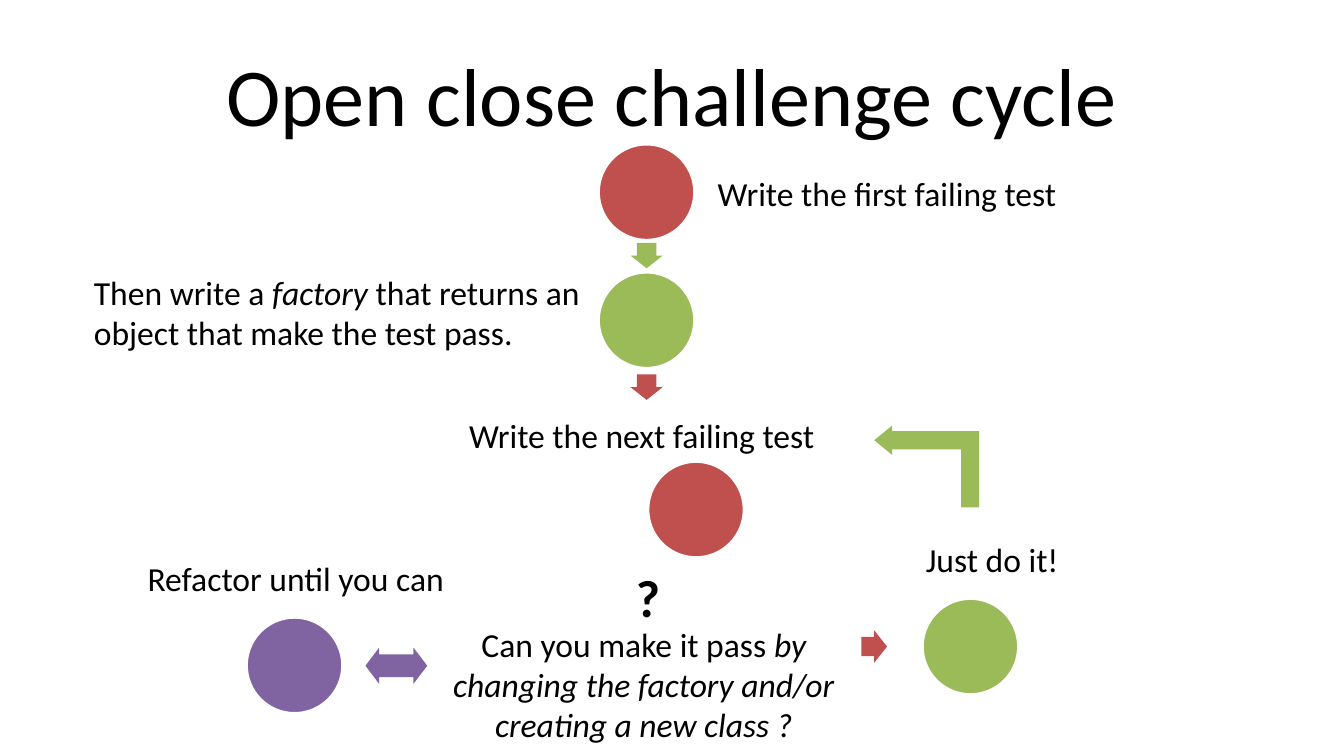
from pptx import Presentation
from pptx.dml.color import RGBColor
from pptx.enum.shapes import MSO_SHAPE
from pptx.enum.text import MSO_ANCHOR, MSO_AUTO_SIZE, PP_ALIGN
from pptx.util import Pt

BLACK = RGBColor(0x00, 0x00, 0x00)
WHITE = RGBColor(0xFF, 0xFF, 0xFF)
RED = RGBColor(0xC0, 0x50, 0x4D)
GREEN = RGBColor(0x9B, 0xBB, 0x59)
PURPLE = RGBColor(0x80, 0x64, 0xA2)
FONT = "Calibri"
CIRCLE = 52
ARROW_W, ARROW_H = 13.7, 17.3


def set_font(font, size):
    font.name = FONT
    font.size = Pt(size)
    font.color.rgb = BLACK


def add_filled(s, kind, x, y, w, h, color, adjustments=(), rotation=0):
    sp = s.shapes.add_shape(kind, Pt(x), Pt(y), Pt(w), Pt(h))
    sp.shadow.inherit = False
    sp.fill.solid()
    sp.fill.fore_color.rgb = color
    sp.line.fill.background()
    sp.rotation = rotation
    for i, value in enumerate(adjustments):
        sp.adjustments[i] = value
    return sp


def add_circle(s, x, y, color):
    sp = add_filled(s, MSO_SHAPE.OVAL, x, y, CIRCLE, CIRCLE, color)
    sp.line.color.rgb = WHITE
    sp.line.width = Pt(2)


def add_step_arrow(s, cx, cy, color, rotation=0):
    add_filled(s, MSO_SHAPE.RIGHT_ARROW, cx - ARROW_W / 2, cy - ARROW_H / 2,
               ARROW_W, ARROW_H, color, (0.6, 0.5), rotation)


def add_label(s, x, y, w, h, runs, size=18, align=PP_ALIGN.LEFT, wrap=False, bold=False):
    tf = s.shapes.add_textbox(Pt(x), Pt(y), Pt(w), Pt(h)).text_frame
    tf.word_wrap = wrap
    tf.auto_size = MSO_AUTO_SIZE.SHAPE_TO_FIT_TEXT
    p = tf.paragraphs[0]
    p.alignment = align
    set_font(p.font, size)
    p.font.bold = bold
    for text, italic in runs:
        r = p.add_run()
        r.text = text
        if italic:
            r.font.italic = True


def add_title(s, x, y, w, h):
    title = s.shapes.title
    title.left, title.top, title.width, title.height = Pt(x), Pt(y), Pt(w), Pt(h)
    tf = title.text_frame
    tf.text = "Open close challenge cycle"
    tf.vertical_anchor = MSO_ANCHOR.MIDDLE
    p = tf.paragraphs[0]
    p.alignment = PP_ALIGN.CENTER
    set_font(p.font, 44)


def add_first_tests(s, x, y, w):
    circle_x = x + w / 2
    cx = circle_x + CIRCLE / 2
    step = 68.6
    for i, (color, arrow_color) in enumerate([(RED, GREEN), (GREEN, RED)]):
        add_circle(s, circle_x, y + i * step, color)
        add_step_arrow(s, cx, y + 59.9 + i * 70.5, arrow_color, 90)
    add_label(s, circle_x + 57, y + 12.3, 198, 28.8, [("Write the first failing test", False)])
    add_label(s, x, y + 65, 289.4, 51, [
        ("Then write a ", False),
        ("factory", True),
        (" that returns an object that make the test pass.", False),
    ], wrap=True)


def add_decision(s, x, y, w):
    cx = x + w / 2
    add_label(s, x + 26, y, 201.6, 28.8, [("Write the next failing test", False)])
    add_circle(s, cx + 2, y + 28.1, RED)
    add_label(s, cx - 11.4, y + 80.6, 27.4, 41, [("?", False)], size=28, bold=True)
    add_label(s, x, y + 111.6, w, 72.7, [
        ("Can you make it pass ", False),
        ("by changing the factory and/or creating a new class ?", True),
    ], align=PP_ALIGN.CENTER, wrap=True)


def add_refactor(s, x, y):
    add_label(s, x, y, 175.7, 28.8, [("Refactor until you can", False)])
    add_circle(s, x + 59.8, y + 35.3, PURPLE)
    add_filled(s, MSO_SHAPE.LEFT_RIGHT_ARROW, x + 123.8, y + 51.8, 33.1, 19.4,
               PURPLE, (0.63, 0.38))


def add_just_do_it(s, x, y):
    add_filled(s, MSO_SHAPE.BENT_UP_ARROW, x + 13, y, 43.9, 56.2, GREEN,
               (0.22, 0.18, 0.22), 270)
    add_label(s, x + 27.4, y + 63.3, 86.4, 28.8, [("Just do it!", False)])
    add_step_arrow(s, x + ARROW_W / 2, y + 124.6, RED)
    add_circle(s, x + 32.4, y + 98.6, GREEN)


def main():
    prs = Presentation()
    prs.slide_width, prs.slide_height = Pt(720), Pt(405)
    s = prs.slides.add_slide(prs.slide_layouts[5])
    add_title(s, 36, 16.5, 648, 67.7)
    add_first_tests(s, 43.2, 77, 554.4)
    add_decision(s, 218.2, 218.9, 253.4)
    add_refactor(s, 72, 295.2)
    add_just_do_it(s, 461.5, 221.8)
    prs.save("out.pptx")


if __name__ == "__main__":
    main()
